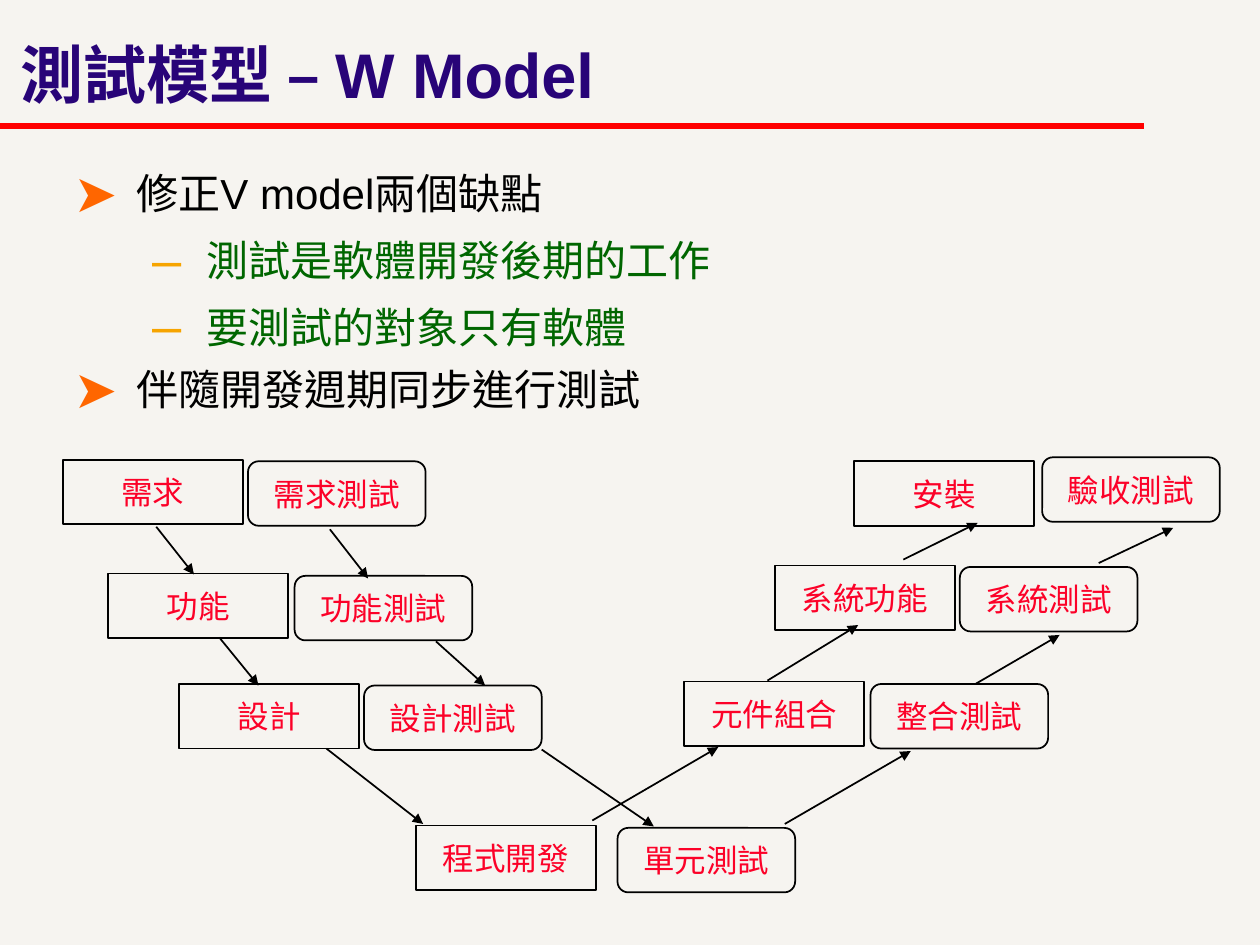
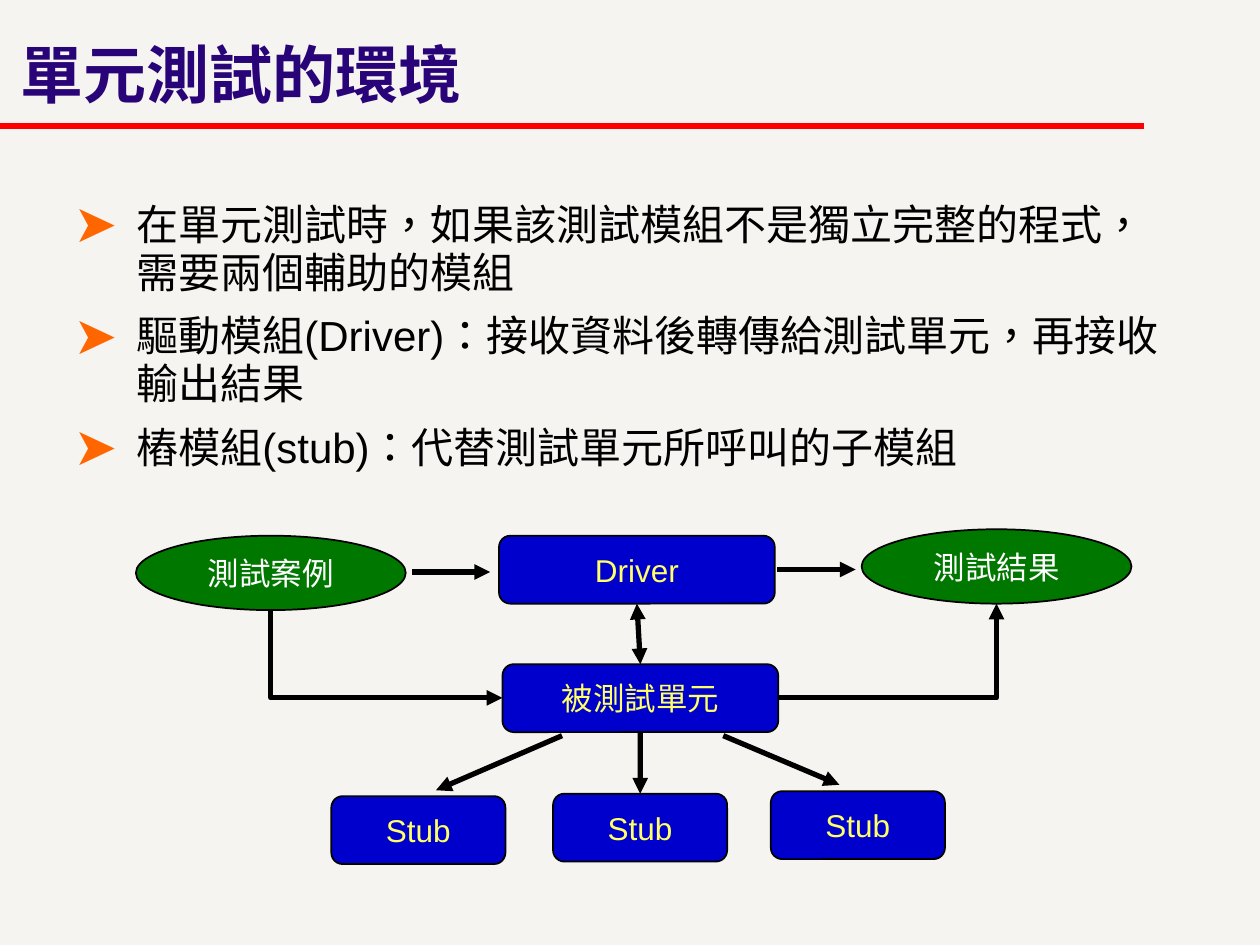
from dataclasses import dataclass
from lxml import etree
from pptx import Presentation
from pptx.dml.color import RGBColor
from pptx.enum.lang import MSO_LANGUAGE_ID
from pptx.enum.shapes import MSO_CONNECTOR, MSO_SHAPE
from pptx.enum.text import MSO_ANCHOR, MSO_AUTO_SIZE, PP_ALIGN
from pptx.oxml.ns import qn
from pptx.util import Cm, Pt

RECT, ROUND, OVAL = MSO_SHAPE.RECTANGLE, MSO_SHAPE.ROUNDED_RECTANGLE, MSO_SHAPE.OVAL
STRAIGHT, ELBOW = MSO_CONNECTOR.STRAIGHT, MSO_CONNECTOR.ELBOW
LEFT, CENTER, MIDDLE = PP_ALIGN.LEFT, PP_ALIGN.CENTER, MSO_ANCHOR.MIDDLE
NO_FIT, CHINESE = MSO_AUTO_SIZE.NONE, MSO_LANGUAGE_ID.TRADITIONAL_CHINESE
TOP, BOTTOM = 0, 2


@dataclass(frozen=True)
class Theme:
    back: str = "F6F4F0"
    rule: str = "FF0000"
    title: str = "280478"
    line: str = "000000"
    stage: str = "FC0128"
    block: str = "0000CC"
    label: str = "FFFF66"
    oval: str = "007800"
    white: str = "FFFFFF"
    sans: str = "Arial"
    serif: str = "TeX Gyre Pagella"
    head: int = 36
    body: int = 24
    small: int = 18
    thin: int = 1
    thick: int = 3


T = Theme()

# Content: sizes and places in centimetres
W_TITLE = "測試模型 – W Model"
W_LIST = [
    (0, "修正V model兩個缺點"),
    (1, "測試是軟體開發後期的工作"),
    (1, "要測試的對象只有軟體"),
    (0, "伴隨開發週期同步進行測試"),
]
# Stage, its place, its test, the test's place
STAGES = [
    ("需求", (1.27, 9.27), "需求測試", (5, 9.3)),
    ("功能", (2.18, 11.56), "功能測試", (5.94, 11.61)),
    ("設計", (3.61, 13.79), "設計測試", (7.34, 13.82)),
    ("程式開發", (8.38, 16.64), "單元測試", (12.45, 16.69)),
    ("元件組合", (13.79, 13.74), "整合測試", (17.55, 13.79)),
    ("系統功能", (15.62, 11.4), "系統測試", (19.35, 11.43)),
    ("安裝", (17.22, 9.3), "驗收測試", (21.01, 9.22)),
]
STAGE_SIZE, TEST_SIZE = (3.63, 1.3), (3.58, 1.3)
STEPS = [
    # Between stages
    (3.15, 10.62, 3.91, 11.58), (4.42, 12.85, 5.21, 13.82),
    (6.58, 15.09, 8.53, 16.61), (11.94, 16.54, 14.48, 15.06),
    (15.47, 13.72, 17.3, 12.6), (18.21, 11.28, 19.71, 10.54),
    # Between tests
    (6.65, 10.67, 7.42, 11.66), (8.79, 12.93, 9.78, 13.82),
    (10.92, 15.11, 13.18, 16.66), (15.82, 16.61, 18.36, 15.14),
    (19.66, 13.79, 21.36, 12.8), (22.15, 11.35, 23.65, 10.64),
]

UNIT_TITLE = "單元測試的環境"
UNIT_LIST = [
    (0, "在單元測試時，如果該測試模組不是獨立完整的程式，需要兩個輔助的模組"),
    (0, "驅動模組(Driver)：接收資料後轉傳給測試單元，再接收輸出結果"),
    (0, "樁模組(stub)：代替測試單元所呼叫的子模組"),
]
UNIT, DRIVER = ("被測試單元", (10.13, 13.39)), ("Driver", (10.06, 10.8))
STUBS = [(6.68, 16.05), (11.15, 16), (15.54, 15.95)]
OVALS = [("測試案例", (2.74, 10.8)), ("測試結果", (17.37, 10.67))]
BLOCK_SIZE, STUB_SIZE, OVAL_SIZE = (5.56, 1.37), (3.51, 1.37), (5.44, 1.5)
FLOWS = [
    (11.33, 14.83, 8.79, 15.93), (14.58, 14.83, 16.92, 15.82),
    (8.31, 11.53, 9.88, 11.53), (15.67, 11.48, 17.25, 11.48),
]
# Elbows leave the unit sideways, then turn up: (ends, arrowheads)
BENDS = [
    ((10.13, 14.07, 5.46, 12.3), ("headEnd",)),
    ((15.7, 14.07, 20.09, 12.17), ("tailEnd",)),
]

# Formats
LEVELS = [
    {"indent": (1.27, -1.27), "mark": "➤", "tint": "FF6600", "color": "000000", "gap": 0.95},
    {"indent": (2.69, -1.09), "mark": "–", "tint": "F6A400", "color": "006600", "gap": 1.0},
]
FRAME = {
    "auto_size": NO_FIT, "vertical_anchor": MIDDLE,
    "margin_left": Cm(0.41), "margin_right": Cm(0.41),
    "margin_top": Cm(0.2), "margin_bottom": Cm(0.2),
}
STAGE_LOOK = {"color": T.stage, "font": T.serif}
BLOCK_LOOK = {"color": T.label, "fill": T.block}
OVAL_LOOK = {"color": T.white, "fill": T.oval}


def apply(item, values):
    for name, value in values.items():
        setattr(item, name, value)


def rgb(code):
    return RGBColor.from_string(code)


def place(shape, x, y, w, h):
    apply(shape, {"left": Cm(x), "top": Cm(y), "width": Cm(w), "height": Cm(h)})


def write(para, text, size, color, font=T.sans, bold=False):
    run = para.add_run()
    run.text = text
    apply(run.font, {"size": Pt(size), "name": font, "bold": bold, "language_id": CHINESE})
    run.font.color.rgb = rgb(color)


def indent(para, left, first):
    props = para._p.get_or_add_pPr()
    props.set("marL", str(Cm(left)))
    props.set("indent", str(Cm(first)))
    return props


def bullet(props, mark, tint):
    color = etree.SubElement(props, qn("a:buClr"))
    etree.SubElement(color, qn("a:srgbClr"), val=tint)
    etree.SubElement(props, qn("a:buSzPct"), val="125000")
    etree.SubElement(props, qn("a:buChar"), char=mark)


def page(deck, title, items, height):
    slide = deck.slides.add_slide(deck.slide_layouts[1])
    head, body = slide.placeholders
    place(head, 0, 0, 22.61, 3.18)
    place(body, 1.07, 3.18, 23.19, height)
    for box in (head, body):
        apply(box.text_frame, {**FRAME, "word_wrap": True})
    para = head.text_frame.paragraphs[0]
    indent(para, 0.94, -0.94)
    apply(para, {"alignment": LEFT, "line_spacing": 0.85})
    write(para, title, T.head, T.title, bold=True)
    for i, (level, text) in enumerate(items):
        look = LEVELS[level]
        para = body.text_frame.add_paragraph() if i else body.text_frame.paragraphs[0]
        bullet(indent(para, *look["indent"]), look["mark"], look["tint"])
        apply(para, {"level": level, "line_spacing": look["gap"],
                     "space_before": Pt(1.5 if i else 0), "space_after": Pt(7.5)})
        write(para, text, T.body, look["color"])
    return slide


def node(slide, kind, text, spot, size, color, fill=None, font=T.sans):
    shape = slide.shapes.add_shape(kind, *map(Cm, spot + size))
    shape.shadow.inherit = False
    if fill:
        shape.fill.solid()
        shape.fill.fore_color.rgb = rgb(fill)
    else:
        shape.fill.background()
    shape.line.color.rgb = rgb(T.line)
    shape.line.width = Pt(T.thin)
    apply(shape.text_frame, {**FRAME, "word_wrap": False})
    para = shape.text_frame.paragraphs[0]
    para.alignment = CENTER
    write(para, text, T.small, color, font)
    return shape


def link(slide, ends, width, heads=("tailEnd",), kind=STRAIGHT, color=T.line):
    line = slide.shapes.add_connector(kind, *map(Cm, ends))
    line.line.color.rgb = rgb(color)
    line.line.width = Pt(width)
    props = line.element.spPr
    for head in heads:
        etree.SubElement(props.find(qn("a:ln")), qn("a:" + head), type="triangle")
    etree.SubElement(props, qn("a:effectLst"))
    if kind == ELBOW:
        props.find(qn("a:prstGeom")).set("prst", "bentConnector2")
    return line


def join(slide, start, end, heads=("tailEnd",)):
    line = link(slide, (0, 0, 1, 1), T.thick, heads)
    line.begin_connect(start, BOTTOM)
    line.end_connect(end, TOP)


def w_model(deck):
    slide = page(deck, W_TITLE, W_LIST, 5.46)
    # The shared red rule belongs to the layout
    rule = link(slide, (0, 2.54, 23.06, 2.54), T.thick, (), color=T.rule)
    slide.slide_layout.shapes.element.append(rule.element)
    for stage, spot, test, side in STAGES:
        node(slide, RECT, stage, spot, STAGE_SIZE, **STAGE_LOOK)
        node(slide, ROUND, test, side, TEST_SIZE, **STAGE_LOOK)
    for ends in STEPS:
        link(slide, ends, T.thin)


def unit_test(deck):
    slide = page(deck, UNIT_TITLE, UNIT_LIST, 7.24)
    unit, driver = [node(slide, ROUND, *part, BLOCK_SIZE, **BLOCK_LOOK)
                    for part in (UNIT, DRIVER)]
    stubs = [node(slide, ROUND, "Stub", spot, STUB_SIZE, **BLOCK_LOOK) for spot in STUBS]
    for part in OVALS:
        node(slide, OVAL, *part, OVAL_SIZE, **OVAL_LOOK)
    for ends in FLOWS:
        link(slide, ends, T.thick)
    join(slide, driver, unit, ("headEnd", "tailEnd"))
    join(slide, unit, stubs[1])
    for ends, heads in BENDS:
        link(slide, ends, T.thick, heads, ELBOW)


def main():
    deck = Presentation()
    apply(deck, {"slide_width": Cm(25.4), "slide_height": Cm(19.05)})
    fill = deck.slide_master.background.fill
    fill.solid()
    fill.fore_color.rgb = rgb(T.back)
    w_model(deck)
    unit_test(deck)
    deck.save("out.pptx")


if __name__ == "__main__":
    main()
